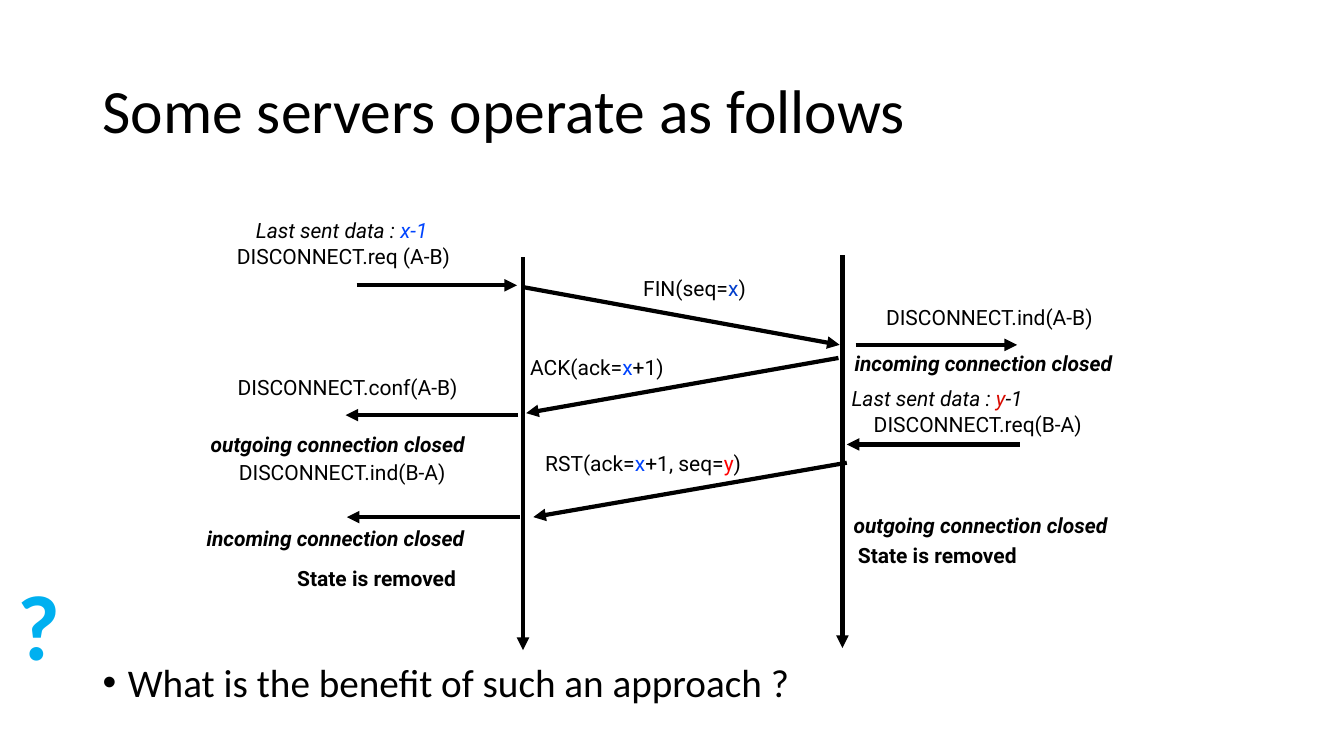
"""Build a slide showing how some servers close a connection with a RST."""
from lxml import etree
from pptx import Presentation
from pptx.dml.color import RGBColor
from pptx.enum.shapes import MSO_CONNECTOR
from pptx.enum.text import MSO_ANCHOR, MSO_AUTO_SIZE, PP_ALIGN
from pptx.oxml.ns import qn
from pptx.util import Cm, Pt

STRAIGHT = MSO_CONNECTOR.STRAIGHT
TOP, MIDDLE = MSO_ANCHOR.TOP, MSO_ANCHOR.MIDDLE
FIT_SHAPE, NO_FIT = MSO_AUTO_SIZE.SHAPE_TO_FIT_TEXT, MSO_AUTO_SIZE.NONE
LEFT, CENTER = PP_ALIGN.LEFT, PP_ALIGN.CENTER

BLACK = RGBColor(0x00, 0x00, 0x00)
WHITE = RGBColor(0xFF, 0xFF, 0xFF)
DARK_BLUE = RGBColor(0x00, 0x3D, 0xCC)
BLUE = RGBColor(0x00, 0x44, 0xFE)
DARK_RED = RGBColor(0xD9, 0x0B, 0x00)
RED = RGBColor(0xFF, 0x00, 0x00)
SKY = RGBColor(0x00, 0xB0, 0xF0)


def write(shape, *runs, font="Calibri", size=28, bold=False, italic=False,
          spacing=0.9, align=LEFT, anchor=TOP, fit=NO_FIT, wrap=True):
    """Fill a shape with one paragraph of (text, color) runs."""
    frame = shape.text_frame
    frame.word_wrap = wrap
    frame.auto_size = fit
    frame.vertical_anchor = anchor
    paragraph = frame.paragraphs[0]
    paragraph.alignment = align
    paragraph.line_spacing = spacing
    paragraph.space_before = Pt(0)
    for text, color in runs:
        run = paragraph.add_run()
        run.text = text
        run.font.name = font
        run.font.size = Pt(size)
        run.font.bold = bold
        run.font.italic = italic
        run.font.color.rgb = color
    return paragraph


presentation = Presentation()
presentation.slide_width = Cm(33.87)
presentation.slide_height = Cm(19.05)
slide = presentation.slides.add_slide(presentation.slide_layouts[1])

title, body = slide.placeholders
for placeholder, top, height in ((title, 1.02, 3.68), (body, 16.59, 1.45)):
    placeholder.left, placeholder.top = Cm(2.33), Cm(top)
    placeholder.width, placeholder.height = Cm(29.21), Cm(height)
write(title, ("Some servers operate as follows", BLACK), size=44, anchor=MIDDLE)
question = write(body, ("What is the benefit of such an approach ?", BLACK))
properties = question._p.get_or_add_pPr()
properties.set("marL", str(Cm(0.64)))
properties.set("indent", str(-Cm(0.64)))

lifelines = [(13.18, 6.48, 13.18, 16.38), (21.23, 6.43, 21.23, 16.33)]
segments = [
    (13.21, 7.24, 21.16, 8.69),
    (21.13, 9.02, 13.26, 10.41),
    (21.34, 11.66, 13.44, 13.03),
]
primitives = [
    (8.99, 7.19, 13.03, 7.19),
    (21.56, 8.69, 25.63, 8.69),
    (13.06, 10.46, 8.71, 10.46),
    (25.7, 11.2, 21.34, 11.2),
    (13.11, 13.03, 8.74, 13.03),
]
for ends in lifelines + segments + primitives:
    arrow = slide.shapes.add_connector(STRAIGHT, *map(Cm, ends))
    arrow.line.color.rgb = BLACK
    arrow.line.width = Pt(3)
    line = arrow.line._get_or_add_ln()
    etree.SubElement(line, qn("a:tailEnd"), type="triangle")
    etree.SubElement(arrow._element.spPr, qn("a:effectLst"))

PLAIN = {}
ITALIC = {"italic": True}
BOLD = {"bold": True}
CLOSED = {"bold": True, "italic": True, "spacing": 0.97}
labels = [
    (16.21, 7.04, 2.67, PLAIN, [("FIN(seq=", BLACK), ("x", DARK_BLUE), (")", BLACK)]),
    (13.36, 9.02, 3.48, PLAIN, [("ACK(ack=", BLACK), ("x", BLUE), ("+1)", BLACK)]),
    (13.74, 11.43, 5.18, PLAIN, [("RST(ack=", BLACK), ("x", BLUE), ("+1, seq=", BLACK),
                                 ("y", RED), (")", BLACK)]),
    (6.45, 5.56, 4.65, ITALIC, [("Last sent data : ", BLACK), ("x-1", BLUE)]),
    (5.97, 6.22, 5.79, PLAIN, [("DISCONNECT.req (A-B)", BLACK)]),
    (5.99, 9.53, 5.87, PLAIN, [("DISCONNECT.conf(A-B)", BLACK)]),
    (5.31, 10.9, 7.24, CLOSED, [("outgoing connection closed", BLACK)]),
    (6.02, 11.68, 5.59, PLAIN, [("DISCONNECT.ind(B-A)", BLACK)]),
    (5.21, 13.26, 7.32, CLOSED, [("incoming connection closed", BLACK)]),
    (7.49, 14.35, 4.27, BOLD, [("State is removed", BLACK)]),
    (22.33, 7.75, 5.59, PLAIN, [("DISCONNECT.ind(A-B)", BLACK)]),
    (21.54, 8.86, 7.32, CLOSED, [("incoming connection closed", BLACK)]),
    (21.46, 9.8, 4.65, ITALIC, [("Last sent data : ", BLACK), ("y", DARK_RED), ("-1", BLACK)]),
    (22.02, 10.46, 5.64, PLAIN, [("DISCONNECT.req(B-A)", BLACK)]),
    (21.51, 12.93, 7.24, CLOSED, [("outgoing connection closed", BLACK)]),
    (21.62, 13.77, 4.27, BOLD, [("State is removed", BLACK)]),
]
for left, top, width, style, runs in labels:
    height = 0.64 if style is CLOSED else 0.56
    label = slide.shapes.add_textbox(Cm(left), Cm(top), Cm(width), Cm(height))
    frame = label.text_frame
    frame.margin_left = frame.margin_right = frame.margin_top = frame.margin_bottom = 0
    if runs[0][0] in ("ACK(ack=", "RST(ack="):
        label.fill.solid()
        label.fill.fore_color.rgb = WHITE
    label_format = {"spacing": 0.84, **style}
    write(label, *runs, font="Roboto", size=15, anchor=MIDDLE, fit=FIT_SHAPE,
          wrap=False, **label_format)

question_mark = slide.shapes.add_textbox(Cm(0.18), Cm(14.2), Cm(1.6), Cm(3.07))
write(question_mark, ("?", SKY), size=66, bold=True, spacing=1.0, align=CENTER,
      fit=FIT_SHAPE, wrap=False)

presentation.save("out.pptx")
